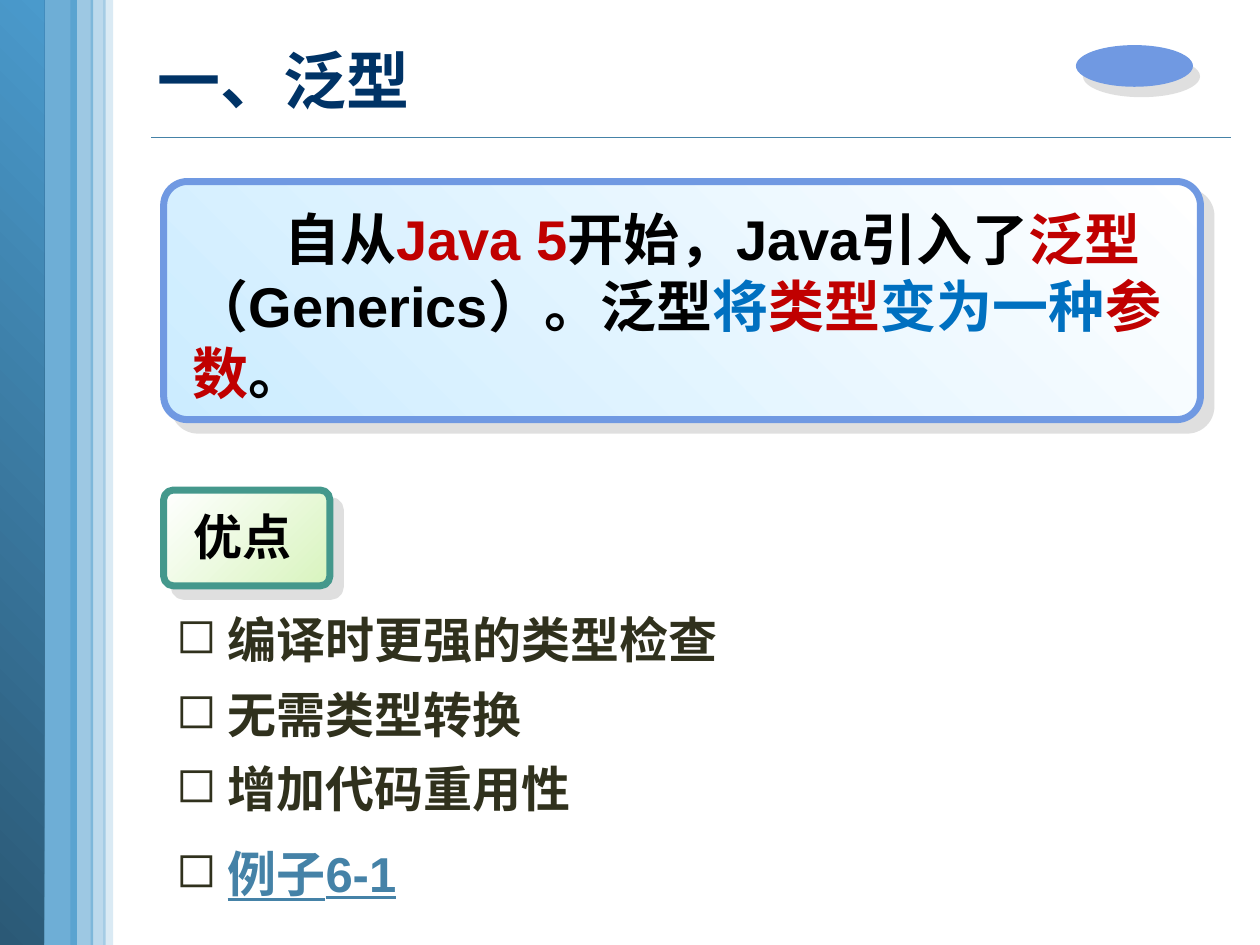
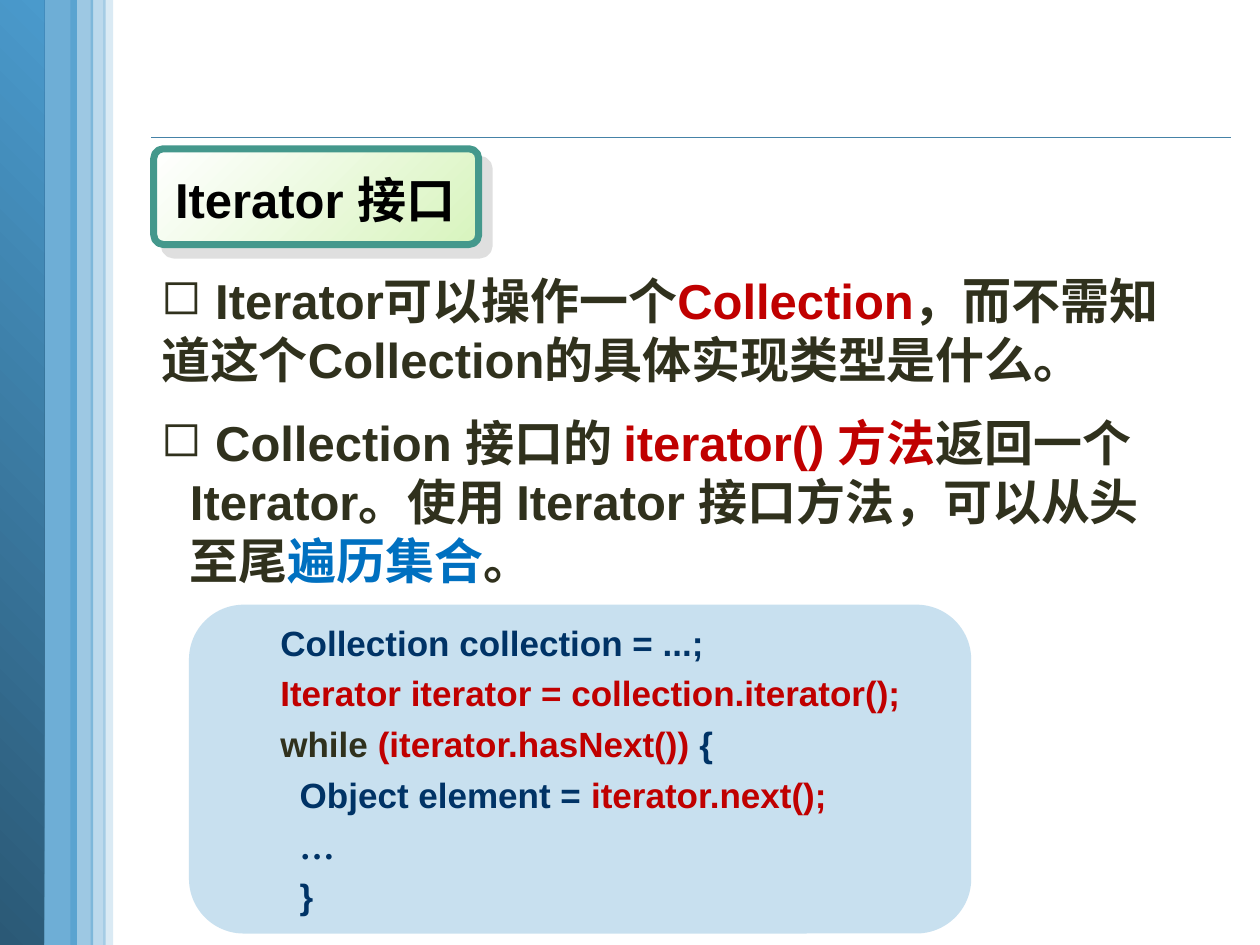
from lxml.etree import SubElement
from pptx import Presentation
from pptx.dml.color import RGBColor
from pptx.enum.shapes import MSO_CONNECTOR, MSO_SHAPE
from pptx.enum.text import MSO_ANCHOR, MSO_AUTO_SIZE, PP_ALIGN
from pptx.oxml.ns import qn
from pptx.util import Cm, Pt

COLORS = {
    "ink": "30311D", "black": "000000", "white": "FFFFFF", "navy": "003366",
    "red": "C00000", "blue": "0070C0", "link": "4582A7", "band": "4A9ACC",
    "band_dark": "2B5976", "panel": "CCECFF", "panel_edge": "7099E2",
    "label": "D8F4BE", "label_edge": "44988C", "shadow": "C0C0C0",
}
TITLE_ONLY, BLANK = 5, 6


def rgb(name):
    return RGBColor.from_string(COLORS[name])


def box(left, top, width, height):
    return Cm(left), Cm(top), Cm(width), Cm(height)


def set_alpha(color, percent):
    SubElement(color, qn("a:alpha"), val=str(percent * 1000))


class Deck:
    font = "Arial"
    bands = [(1.42, 0.46, 54), (1.83, 0.3, 37), (2.08, 0.2, 20)]

    def __init__(self):
        self.prs = Presentation()
        self.prs.slide_width, self.prs.slide_height = Cm(25.4), Cm(19.05)
        self.s = None

    def slide(self, title=None):
        layout = BLANK if title is None else TITLE_ONLY
        self.s = self.prs.slides.add_slide(self.prs.slide_layouts[layout])
        self.rule()
        self.band(0.76, 0.79, 80)
        sp = self.shape(MSO_SHAPE.RECTANGLE, 0, 0, 0.89, 19.05)
        self.gradient(sp, "band_dark", "band", 45)
        for band in self.bands:
            self.band(*band)
        if title:
            self.title(title)

    def rule(self):
        c = self.s.shapes.add_connector(
            MSO_CONNECTOR.STRAIGHT, Cm(3.05), Cm(2.77), Cm(24.82), Cm(2.77))
        c.line.color.rgb = rgb("link")
        c.line.width = Pt(1)
        SubElement(c._element.spPr, qn("a:effectLst"))

    def title(self, text):
        sp = self.s.shapes.title
        sp.left, sp.top, sp.width, sp.height = box(2.92, 0.18, 22.1, 2.82)
        tf = sp.text_frame
        tf.auto_size = MSO_AUTO_SIZE.NONE
        tf.vertical_anchor = MSO_ANCHOR.MIDDLE
        p = tf.paragraphs[0]
        p.alignment = PP_ALIGN.LEFT
        self.add_runs(p, [(text, "navy")], 36)

    def shape(self, kind, left, top, width, height, fill=None, alpha=None):
        sp = self.s.shapes.add_shape(kind, *box(left, top, width, height))
        sp.shadow.inherit = False
        sp.line.fill.background()
        if fill:
            sp.fill.solid()
            sp.fill.fore_color.rgb = rgb(fill)
        if alpha:
            set_alpha(sp._element.spPr.find(".//" + qn("a:srgbClr")), alpha)
        return sp

    def band(self, left, width, alpha):
        self.shape(MSO_SHAPE.RECTANGLE, left, 0, width, 19.05, "band", alpha)

    def gradient(self, sp, start, end, angle):
        sp.fill.gradient()
        sp.fill.gradient_angle = angle
        for stop, color in zip(sp.fill.gradient_stops, (start, end)):
            stop.color.rgb = rgb(color)

    def drop_shadow(self, sp, distance=8.5, angle=45):
        effects = sp._element.spPr.find(qn("a:effectLst"))
        shadow = SubElement(effects, qn("a:outerShdw"), dist=str(Pt(distance)),
                            dir=str(angle * 60000), algn="ctr", rotWithShape="0")
        set_alpha(SubElement(shadow, qn("a:srgbClr"), val=COLORS["shadow"]), 50)

    def card(self, left, top, width, height, start, end, angle, edge):
        sp = self.shape(MSO_SHAPE.ROUNDED_RECTANGLE, left, top, width, height)
        sp.adjustments[0] = 0.1
        self.gradient(sp, start, end, angle)
        sp.line.color.rgb = rgb(edge)
        sp.line.width = Pt(4)
        self.drop_shadow(sp)

    def label(self, text, left, top, width, text_left, text_top):
        self.card(left, top, width, 1.93, "white", "label", 315, "label_edge")
        self.text([(text, "black")], text_left, text_top, 14.55, 1.45)

    def text(self, runs, left, top, width, height, size=28,
             bullet=False, margin=0, indent=0):
        tf = self.s.shapes.add_textbox(*box(left, top, width, height)).text_frame
        tf.word_wrap = True
        tf.auto_size = MSO_AUTO_SIZE.SHAPE_TO_FIT_TEXT
        p = tf.paragraphs[0]
        self.indent(p, margin, indent)
        if bullet:
            SubElement(p._p.get_or_add_pPr(), qn("a:buChar"), char="◻")
        self.add_runs(p, runs, size)

    def bullet(self, runs, top, left=3.3, width=21.03, height=1.45, hang=0):
        self.text(runs, left, top, width, height, bullet=True,
                  margin=hang, indent=-hang)

    def code(self, lines, left, top, width, height):
        sp = self.shape(MSO_SHAPE.ROUNDED_RECTANGLE, left, top, width, height,
                        "band", 30)
        tf = sp.text_frame
        tf.word_wrap = True
        tf.vertical_anchor = MSO_ANCHOR.MIDDLE
        for i, (level, runs) in enumerate(lines):
            p = tf.add_paragraph() if i else tf.paragraphs[0]
            p.alignment = PP_ALIGN.LEFT
            p.space_before = Pt(5)
            self.indent(p, 2.06, -0.79 + 0.39 * level)
            self.add_runs(p, runs, 20)

    def indent(self, p, margin, first):
        pPr = p._p.get_or_add_pPr()
        pPr.set("marL", str(Cm(margin)))
        pPr.set("indent", str(Cm(first)))

    def add_runs(self, p, runs, size):
        p.font.name = self.font
        p.font.size = Pt(size)
        p.font.bold = True
        for text, color, *font in runs:
            r = p.add_run()
            r.text = text
            r.font.color.rgb = rgb(color)
            if font:
                r.font.name = font[0]
            if color == "link":
                r.font.underline = True


def generics(deck):
    deck.slide("一、泛型")
    deck.card(3.3, 3.66, 20.9, 4.8, "panel", "white", 45, "panel_edge")
    oval = deck.shape(MSO_SHAPE.OVAL, 21.69, 0.91, 2.36, 0.84, "panel_edge")
    deck.drop_shadow(oval, 7.2, 56)
    deck.text([
        ("自从", "black"), ("Java 5", "red"), ("开始，Java引入了", "black"),
        ("泛型", "red"), ("（Generics）。泛型", "black"), ("将", "blue"),
        ("类型", "red"), ("变为一种", "blue"), ("参数", "red"), ("。", "black"),
    ], 3.63, 3.99, 20.04, 4.37, size=32, indent=1.85)
    deck.label("优点", 3.3, 9.88, 3.35, 3.66, 10.08)
    benefits = ["编译时更强的类型检查", "无需类型转换", "增加代码重用性"]
    for i, benefit in enumerate(benefits):
        deck.bullet([(" " + benefit, "ink")], 12.17 + 1.5 * i)
    deck.bullet([(" ", "ink"), ("例子6-1", "link")], 16.87)


def iterator(deck):
    deck.slide()
    deck.label("Iterator 接口", 3.1, 3, 6.55, 3.28, 3.3)
    deck.bullet([
        (" Iterator可以操作一个", "ink"), ("Collection", "red"),
        ("，而不需知道这个Collection的具体实现类型是什么。", "ink"),
    ], 5.33, left=3, width=21.51, height=2.64)
    deck.bullet([
        (" Collection 接口的 ", "ink"), ("iterator() 方法", "red"),
        ("返回一个 Iterator。使用 Iterator 接口方法，可以从头至尾", "ink"),
        ("遍历集合", "blue"), ("。", "ink"),
    ], 8.2, left=3, height=3.84, hang=0.58)
    deck.code([
        (0, [("Collection collection = ...;", "navy")]),
        (0, [("Iterator iterator = collection.iterator();", "red")]),
        (0, [("while", "ink"), (" (iterator.hasNext())", "red"), (" {", "navy")]),
        (1, [("Object element = ", "navy"), ("iterator.next();", "red")]),
        (1, [("…", "navy", "Times New Roman")]),
        (1, [("}", "navy")]),
    ], 3.81, 12.19, 15.77, 6.63)


def main():
    deck = Deck()
    generics(deck)
    iterator(deck)
    deck.prs.save("out.pptx")


if __name__ == "__main__":
    main()
